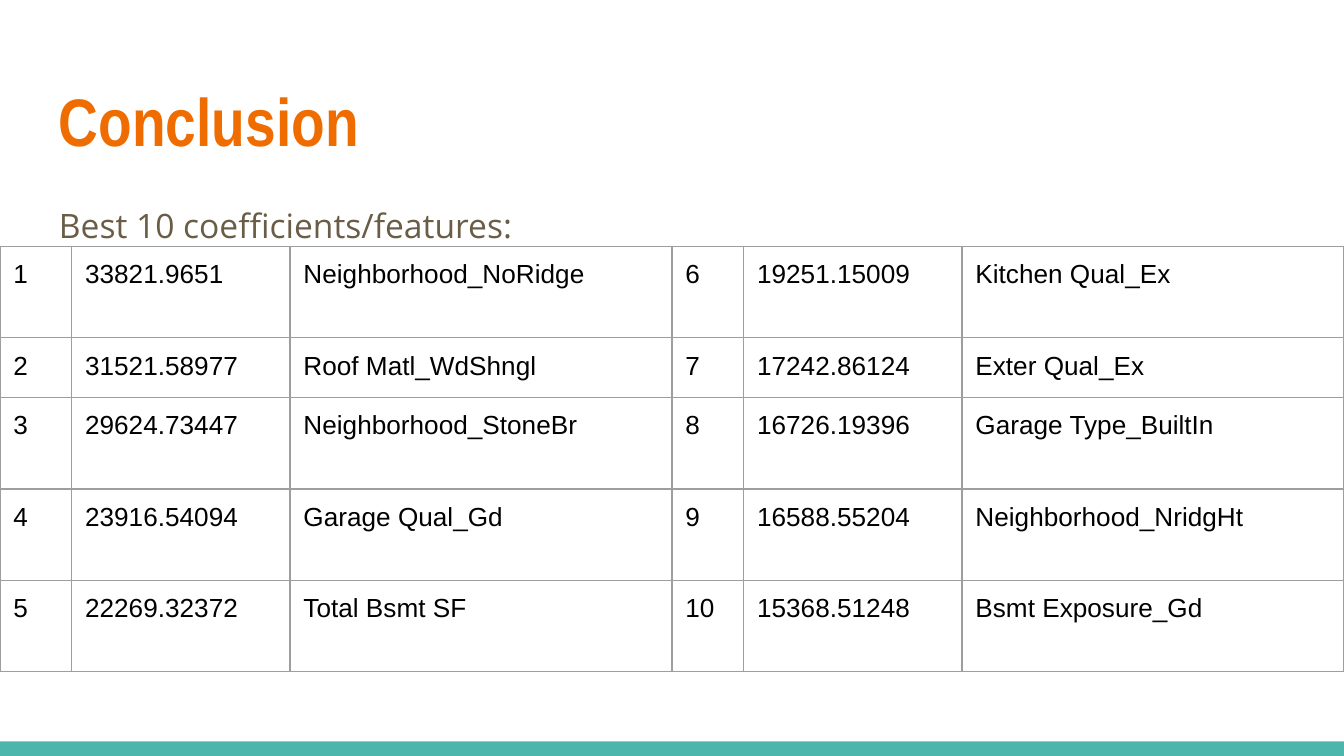
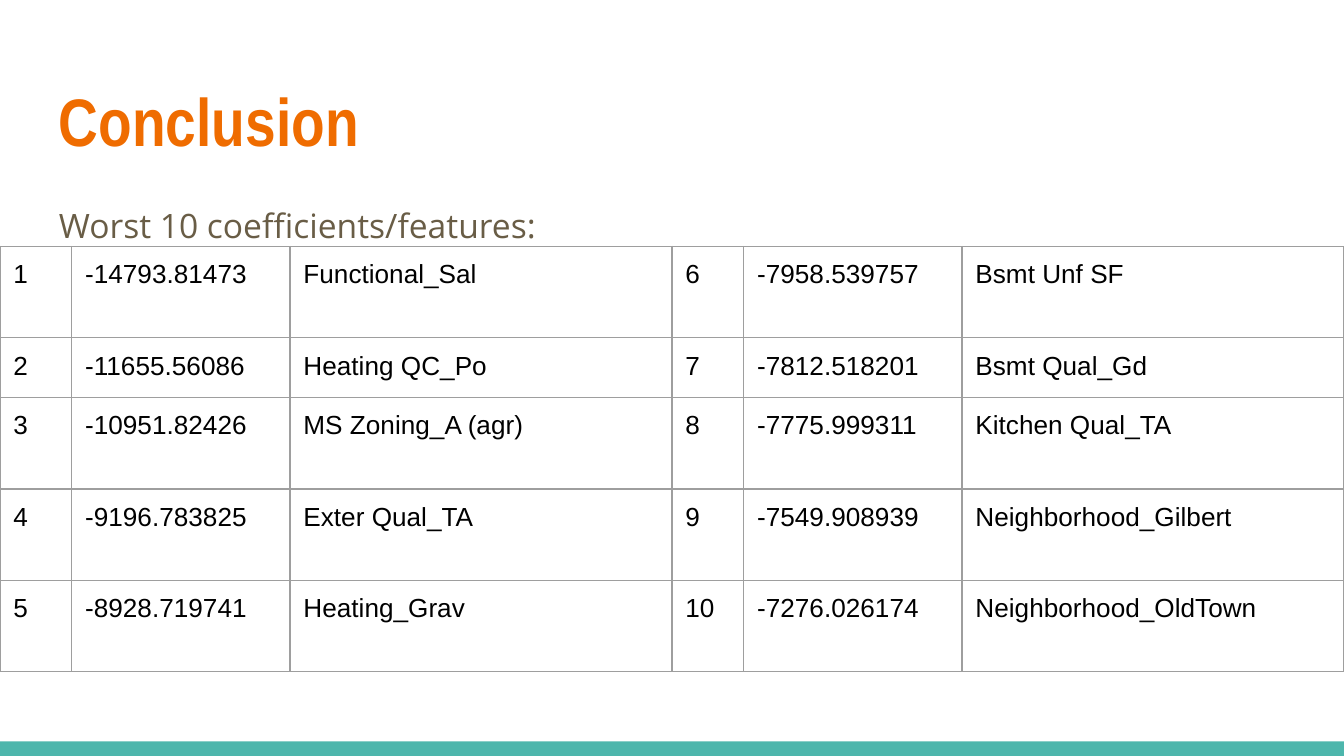
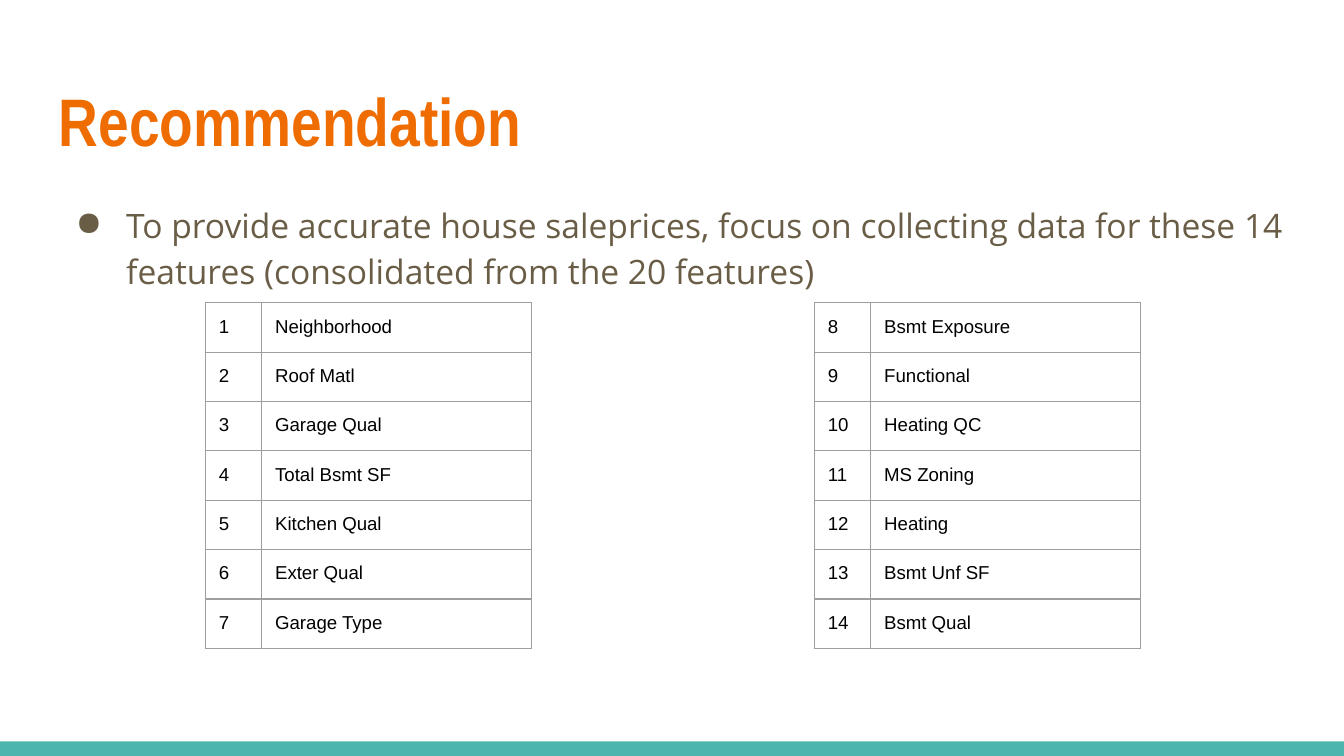
from lxml import etree
from pptx import Presentation
from pptx.dml.color import RGBColor
from pptx.enum import shapes, text
from pptx.oxml import ns
from pptx.util import Pt

TEAL = RGBColor(0x4D, 0xB6, 0xAC)
ORANGE = RGBColor(0xEF, 0x6C, 0x00)
BROWN = RGBColor(0x69, 0x5D, 0x46)
BLACK = RGBColor(0x00, 0x00, 0x00)
GREY = RGBColor(0x9E, 0x9E, 0x9E)

MARGIN = 24.5
INSET = 7.2
WIDTH, HEIGHT = 720, 405
FOOTER_TOP = 397.2

COEFFICIENTS = dict(lefts=(0, 360), top=132, columns=(38.4, 117, 204.6),
                    heights=(49, 32, 49, 49, 49), size=14)
FEATURES = dict(lefts=(110, 436.3), top=162.2, columns=(30.2, 144.4),
                heights=(23,) * 7, size=10)

SLIDES = [
    ("Conclusion", "Best 10 coefficients/features:", False, COEFFICIENTS, [
        ("33821.9651", "Neighborhood_NoRidge"),
        ("31521.58977", "Roof Matl_WdShngl"),
        ("29624.73447", "Neighborhood_StoneBr"),
        ("23916.54094", "Garage Qual_Gd"),
        ("22269.32372", "Total Bsmt SF"),
        ("19251.15009", "Kitchen Qual_Ex"),
        ("17242.86124", "Exter Qual_Ex"),
        ("16726.19396", "Garage Type_BuiltIn"),
        ("16588.55204", "Neighborhood_NridgHt"),
        ("15368.51248", "Bsmt Exposure_Gd"),
    ]),
    ("Conclusion", "Worst 10 coefficients/features:", False, COEFFICIENTS, [
        ("-14793.81473", "Functional_Sal"),
        ("-11655.56086", "Heating QC_Po"),
        ("-10951.82426", "MS Zoning_A (agr)"),
        ("-9196.783825", "Exter Qual_TA"),
        ("-8928.719741", "Heating_Grav"),
        ("-7958.539757", "Bsmt Unf SF"),
        ("-7812.518201", "Bsmt Qual_Gd"),
        ("-7775.999311", "Kitchen Qual_TA"),
        ("-7549.908939", "Neighborhood_Gilbert"),
        ("-7276.026174", "Neighborhood_OldTown"),
    ]),
    ("Recommendation",
     "To provide accurate house saleprices, focus on collecting data for these 14 "
     "features (consolidated from the 20 features)", True, FEATURES, [
         ("Neighborhood",), ("Roof Matl",), ("Garage Qual",), ("Total Bsmt SF",),
         ("Kitchen Qual",), ("Exter Qual",), ("Garage Type",), ("Bsmt Exposure",),
         ("Functional",), ("Heating QC",), ("MS Zoning",), ("Heating",),
         ("Bsmt Unf SF",), ("Bsmt Qual",),
     ]),
]


def write(frame, wording, font_name, size, color, bold=False):
    """Fill a box or cell with one styled paragraph and return the paragraph."""
    frame.text = wording
    frame.word_wrap = True
    frame.margin_left = frame.margin_right = Pt(INSET)
    frame.margin_top = frame.margin_bottom = Pt(INSET)
    paragraph = frame.paragraphs[0]
    font = paragraph.runs[0].font
    font.name, font.size, font.bold = font_name, Pt(size), bold
    font.color.rgb = color
    return paragraph


def style_cell(cell):
    """Give a cell thin grey borders, inner margins and no fill."""
    cell.margin_left = cell.margin_right = Pt(INSET)
    cell.margin_top = cell.margin_bottom = Pt(INSET)
    properties = cell._tc.get_or_add_tcPr()
    for side in ("a:lnL", "a:lnR", "a:lnT", "a:lnB"):
        border = etree.SubElement(properties, ns.qn(side), w=str(Pt(0.75)))
        fill = etree.SubElement(border, ns.qn("a:solidFill"))
        etree.SubElement(fill, ns.qn("a:srgbClr"), val=str(GREY))
    cell.fill.background()


deck = Presentation()
deck.slide_width, deck.slide_height = Pt(WIDTH), Pt(HEIGHT)

for heading, intro, bulleted, layout, entries in SLIDES:
    slide = deck.slides.add_slide(deck.slide_layouts[6])

    footer = slide.shapes.add_shape(shapes.MSO_SHAPE.RECTANGLE, 0, Pt(FOOTER_TOP),
                                    Pt(WIDTH), Pt(HEIGHT - FOOTER_TOP))
    footer.shadow.inherit = False
    footer.fill.solid()
    footer.fill.fore_color.rgb = TEAL
    footer.line.fill.background()

    title = slide.shapes.add_textbox(Pt(MARGIN), Pt(35.3), Pt(WIDTH - 2 * MARGIN), Pt(55.4))
    title.text_frame.vertical_anchor = text.MSO_ANCHOR.TOP
    write(title.text_frame, heading, "Arial Narrow", 36, ORANGE, bold=True)

    body = slide.shapes.add_textbox(Pt(MARGIN), Pt(99.4), Pt(WIDTH - 2 * MARGIN), Pt(260))
    paragraph = write(body.text_frame, intro, "Open Sans", 18, BROWN)
    if bulleted:
        properties = paragraph._p.get_or_add_pPr()
        properties.set("marL", str(Pt(36)))
        properties.set("indent", str(Pt(-27)))
        bullet_color = etree.SubElement(properties, ns.qn("a:buClr"))
        etree.SubElement(bullet_color, ns.qn("a:srgbClr"), val=str(BROWN))
        etree.SubElement(properties, ns.qn("a:buChar"), char="●")
    paragraph.line_spacing = 1.15

    columns, heights = layout["columns"], layout["heights"]
    ranked = [(str(rank), *entry) for rank, entry in enumerate(entries, 1)]
    for half, left in enumerate(layout["lefts"]):
        table = slide.shapes.add_table(len(heights), len(columns), Pt(left), Pt(layout["top"]),
                                       Pt(sum(columns)), Pt(sum(heights))).table
        table.first_row = table.horz_banding = False
        for column, width in zip(table.columns, columns):
            column.width = Pt(width)
        rows = ranked[half * len(heights):(half + 1) * len(heights)]
        for row, height, values in zip(table.rows, heights, rows):
            row.height = Pt(height)
            for cell, value in zip(row.cells, values):
                write(cell.text_frame, value, "Arial", layout["size"], BLACK)
                style_cell(cell)

deck.save("out.pptx")
